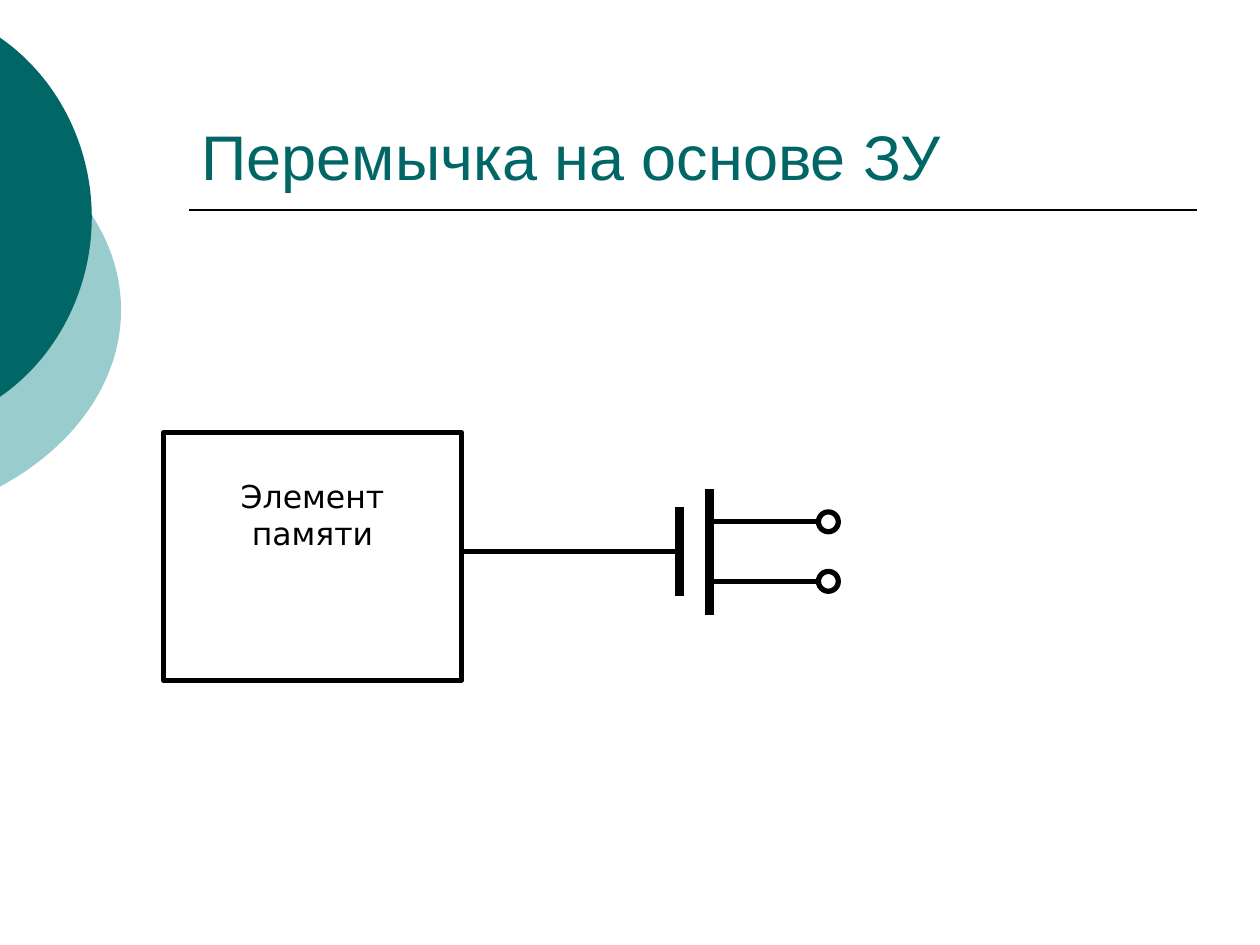
from lxml.etree import SubElement
from pptx import Presentation
from pptx.dml.color import RGBColor
from pptx.enum.shapes import MSO_CONNECTOR, MSO_SHAPE
from pptx.enum.text import MSO_ANCHOR, PP_ALIGN
from pptx.oxml.ns import qn
from pptx.util import Cm, Pt

BLACK, WHITE, TEAL, PALE = "000000", "FFFFFF", "006666", "99CCCC"


def rgb(color):
    """Turn a hex string into a colour."""
    return RGBColor.from_string(color)


def add_line(s, x1, y1, x2, y2, width):
    """Draw a straight black line without a shadow."""
    line = s.shapes.add_connector(MSO_CONNECTOR.STRAIGHT, Cm(x1), Cm(y1), Cm(x2), Cm(y2))
    line.line.color.rgb = rgb(BLACK)
    line.line.width = Pt(width)
    SubElement(line._element.spPr, qn("a:effectLst"))


def add_outlined(s, preset, x, y, w, h):
    """Add a preset shape with a 3 pt black outline and no fill."""
    sp = s.shapes.add_shape(preset, Cm(x), Cm(y), Cm(w), Cm(h))
    sp.shadow.inherit = False
    sp.fill.background()
    sp.line.color.rgb = rgb(BLACK)
    sp.line.width = Pt(3)
    return sp


def add_edge_disc(s, frame, control, color):
    """Add a disc cut by the left slide edge, with two mirrored Bézier arcs."""
    left, top, width, height = map(Cm, frame)
    middle = control[-1][1]
    lower = [(x, 2 * middle - y) for x, y in reversed(control[:-1])]
    builder = s.shapes.build_freeform(0, 0)
    builder.add_line_segments([(Cm(1), 0), (0, Cm(1))], close=True)
    sp = builder.convert_to_shape()
    sp.left, sp.top, sp.width, sp.height = left, top, width, height
    outline = next(sp._element.iter(qn("a:path")))
    for child in list(outline):
        outline.remove(child)
    outline.set("w", str(width))
    outline.set("h", str(height))
    arcs = [("a:moveTo", control[:1]), ("a:cubicBezTo", control[1:]), ("a:cubicBezTo", lower)]
    for tag, points in arcs:
        step = SubElement(outline, qn(tag))
        for x, y in points:
            SubElement(step, qn("a:pt"), x=str(Cm(x) - left), y=str(Cm(y) - top))
    SubElement(outline, qn("a:close"))
    sp.shadow.inherit = False
    sp.fill.solid()
    sp.fill.fore_color.rgb = rgb(color)
    sp.line.fill.background()


def set_text(sp, text, font, size, color, align, anchor):
    """Write one formatted paragraph into a shape."""
    tf = sp.text_frame
    tf.word_wrap = True
    tf.vertical_anchor = anchor
    p = tf.paragraphs[0]
    p.text = text
    p.alignment = align
    p.font.name = font
    p.font.size = Pt(size)
    p.font.color.rgb = rgb(color)
    return tf


def add_title(s, text):
    """Place the title above its rule."""
    sp = s.shapes.title
    sp.left, sp.top, sp.width, sp.height = Cm(3.81), Cm(0.84), Cm(20.32), Cm(3.18)
    set_text(sp, text, "Arial", 36, TEAL, PP_ALIGN.LEFT, MSO_ANCHOR.BOTTOM)
    add_line(s, 3.81, 4.23, 24.13, 4.23, 1)


def add_memory_cell(s, text):
    """Add the labelled memory cell."""
    sp = add_outlined(s, MSO_SHAPE.RECTANGLE, 3.3, 8.72, 6, 5)
    tf = set_text(sp, text, "DejaVu Sans", 18, BLACK, PP_ALIGN.CENTER, MSO_ANCHOR.TOP)
    tf.margin_top = Cm(0.89)
    tf.margin_left = tf.margin_right = Cm(0.5)


def add_transistor(s):
    """Draw the gate, the channel and the two open terminals."""
    gate, channel, end, axis, dot = 13.7, 14.3, 16.5, 11.12, 0.4
    add_line(s, 9.3, axis, gate, axis, 3)
    add_line(s, gate, axis + 0.9, gate, axis - 0.9, 5)
    add_line(s, channel, axis + 1.27, channel, axis - 1.27, 5)
    for y in (axis - 0.6, axis + 0.6):
        add_line(s, channel, y, end, y, 3)
        sp = add_outlined(s, MSO_SHAPE.OVAL, end, y - dot / 2, dot, dot)
        sp.fill.solid()
        sp.fill.fore_color.rgb = rgb(WHITE)


def main():
    """Build the slide and save it."""
    prs = Presentation()
    prs.slide_width, prs.slide_height = Cm(25.4), Cm(19.05)
    s = prs.slides.add_slide(prs.slide_layouts[5])
    add_edge_disc(s, (-8.99, 1.9, 11.43, 8.69),
                  [(0, 2.69), (1.52, 3.51), (2.44, 4.83), (2.44, 6.25)], PALE)
    add_edge_disc(s, (-6.73, 0, 8.59, 8.76),
                  [(0, 0.76), (1.17, 1.57), (1.85, 2.95), (1.85, 4.38)], TEAL)
    add_title(s, "Перемычка на основе ЗУ")
    add_memory_cell(s, "Элемент памяти")
    add_transistor(s)
    prs.save("out.pptx")


if __name__ == "__main__":
    main()
